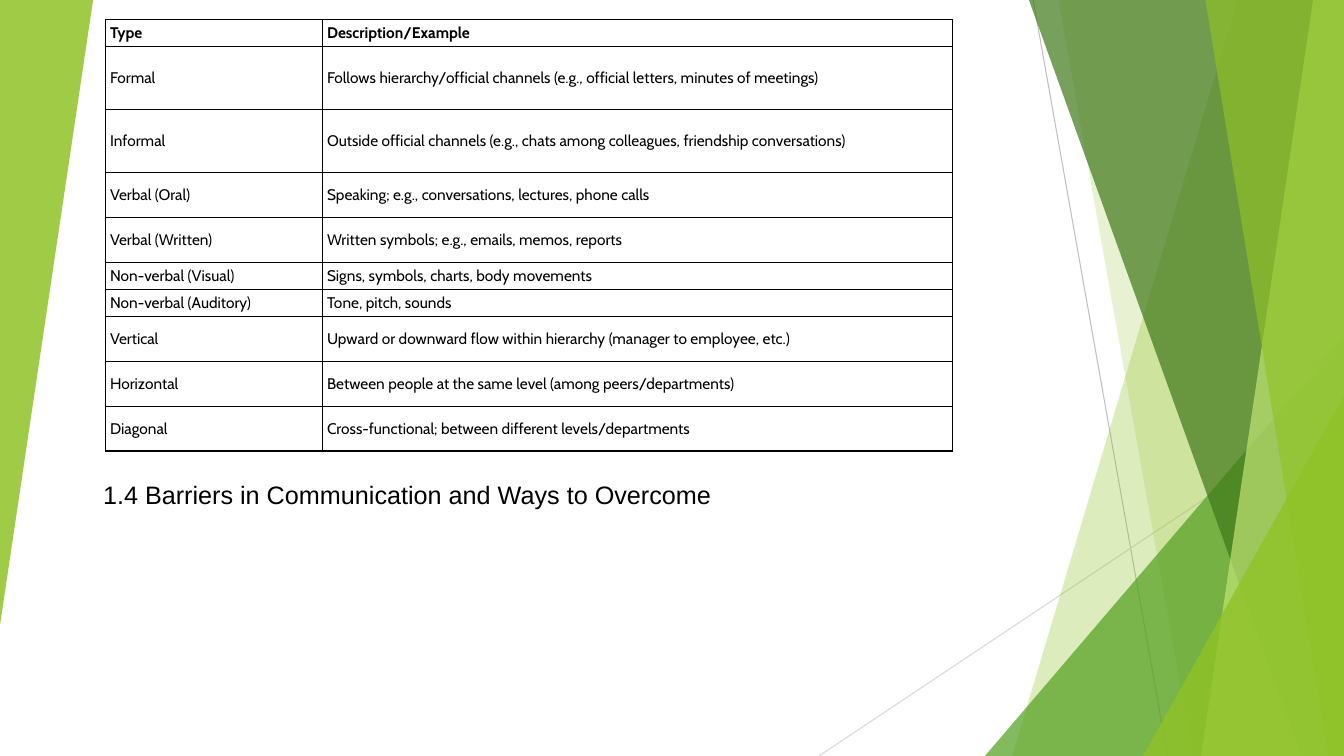
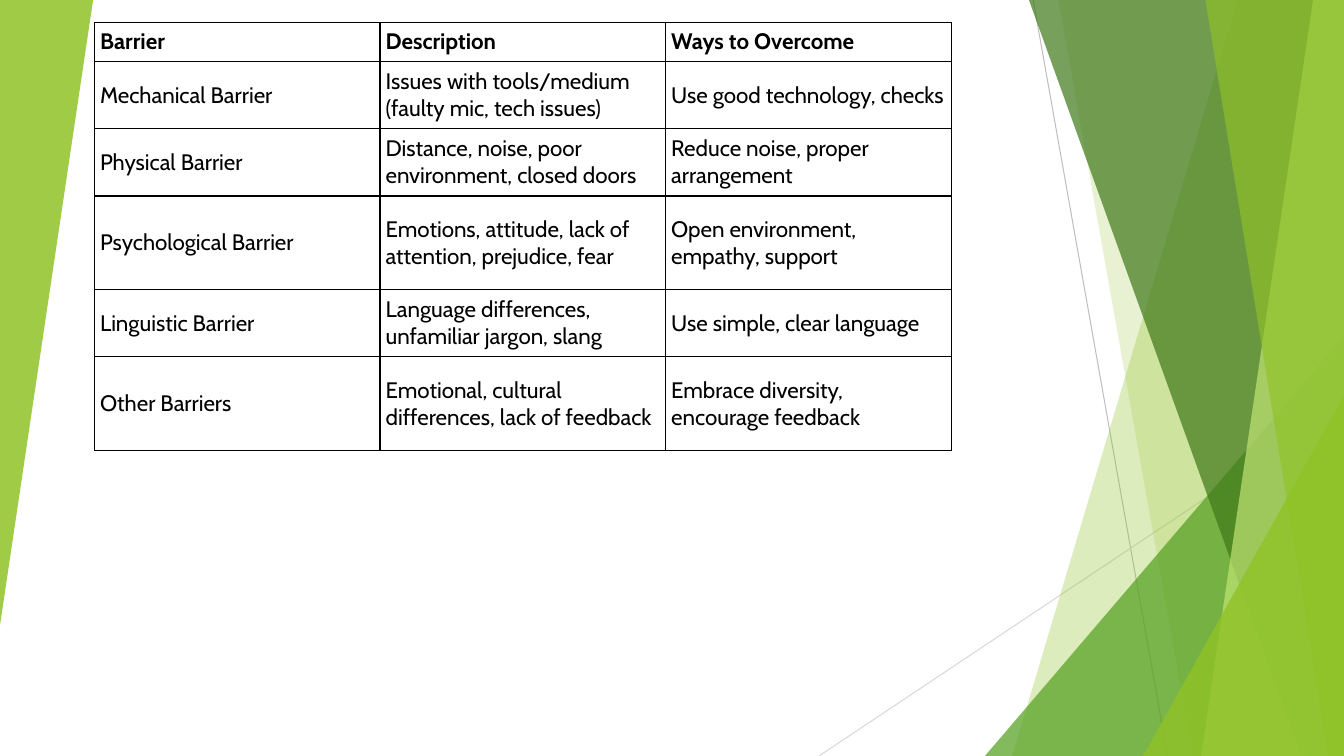
import pptx
import pptx.dml.color
import pptx.enum.shapes
import pptx.enum.text
import pptx.oxml
import pptx.oxml.ns
import pptx.util
from lxml import etree

Pt = pptx.util.Pt
qn = pptx.oxml.ns.qn

SLIDE_W, SLIDE_H = 960, 540
TABLE_FONT, HEADING_FONT = "Cabin", "Arial"
BLACK = "000000"
LIME, GREEN, FOREST, PALE = "90C226", "54A021", "3F7819", "C0E474"

COMMUNICATION_TYPES = [
    ("Type", "Description/Example"),
    ("Formal", "Follows hierarchy/official channels (e.g., official letters, minutes of meetings)"),
    ("Informal", "Outside official channels (e.g., chats among colleagues, friendship conversations)"),
    ("Verbal (Oral)", "Speaking; e.g., conversations, lectures, phone calls"),
    ("Verbal (Written)", "Written symbols; e.g., emails, memos, reports"),
    ("Non-verbal (Visual)", "Signs, symbols, charts, body movements"),
    ("Non-verbal (Auditory)", "Tone, pitch, sounds"),
    ("Vertical", "Upward or downward flow within hierarchy (manager to employee, etc.)"),
    ("Horizontal", "Between people at the same level (among peers/departments)"),
    ("Diagonal", "Cross-functional; between different levels/departments"),
]
BARRIERS = [
    ("Barrier", "Description", "Ways to Overcome"),
    ("Mechanical Barrier", "Issues with tools/medium (faulty mic, tech issues)",
     "Use good technology, checks"),
    ("Physical Barrier", "Distance, noise, poor environment, closed doors",
     "Reduce noise, proper arrangement"),
    ("Psychological Barrier", "Emotions, attitude, lack of attention, prejudice, fear",
     "Open environment, empathy, support"),
    ("Linguistic Barrier", "Language differences, unfamiliar jargon, slang",
     "Use simple, clear language"),
    ("Other Barriers", "Emotional, cultural differences, lack of feedback",
     "Embrace diversity, encourage feedback"),
]


def rgb(color):
    return pptx.dml.color.RGBColor.from_string(color)


def paint(sp, color, opacity):
    """Fill a shape with a see-through colour, without line or shadow."""
    sp.shadow.inherit = False
    sp.line.fill.background()
    sp.fill.solid()
    sp.fill.fore_color.rgb = rgb(color)
    clr = sp.element.spPr.find(qn("a:solidFill"))[0]
    etree.SubElement(clr, qn("a:alpha"), val=str(opacity * 1000))


def add_line(slide, x1, y1, x2, y2, color):
    line = slide.shapes.add_connector(
        pptx.enum.shapes.MSO_CONNECTOR.STRAIGHT, Pt(x1), Pt(y1), Pt(x2), Pt(y2))
    line.line.color.rgb = rgb(color)
    line.line.width = Pt(0.75)
    etree.SubElement(line.element.spPr, qn("a:effectLst"))


def add_facet(slide, top_x, bottom_x, w, h, color, opacity):
    """Full-height pane from a slanted left edge to the right edge."""
    builder = slide.shapes.build_freeform(Pt(top_x), Pt(0))
    builder.add_line_segments(
        [(Pt(w), Pt(0)), (Pt(w), Pt(h)), (Pt(bottom_x), Pt(h))], close=True)
    paint(builder.convert_to_shape(), color, opacity)


def add_wedge(slide, x, y, w, h, color, opacity, rotation=0):
    """Triangle whose tip stands above its right corner."""
    sp = slide.shapes.add_shape(
        pptx.enum.shapes.MSO_SHAPE.ISOSCELES_TRIANGLE, Pt(x), Pt(y), Pt(w), Pt(h))
    sp.adjustments[0] = 1
    sp.rotation = rotation
    paint(sp, color, opacity)


def add_backdrop(slide, w, h):
    add_line(slide, 738, 0, 834, h, "BFBFBF")
    add_line(slide, w, 290, 585, h, "D9D9D9")
    add_facet(slide, 884, 723, w, h, LIME, 30)
    add_facet(slide, 756, 852, w, h, LIME, 20)
    add_wedge(slide, 703.5, 240, w - 703.5, h - 240, GREEN, 72)
    add_facet(slide, 735, 929.5, w, h, FOREST, 70)
    add_facet(slide, 938, 858, w, h, PALE, 70)
    add_facet(slide, 861, 949, w, h, LIME, 65)
    add_wedge(slide, 816.5, 283, w - 816.5, h - 283, LIME, 80)
    add_wedge(slide, 0, 0, 66.5, 446.5, LIME, 85, rotation=180)


def move_to_layout(slide):
    """Hand the slide's shapes to its layout, so that all slides share them."""
    for sp in list(slide.shapes):
        slide.slide_layout.shapes.element.append(sp.element)


def add_text(tf, text, font, size, bold=False):
    r = tf.paragraphs[0].add_run()
    r.text = text
    r.font.name = font
    r.font.size = Pt(size)
    r.font.bold = bold
    r.font.color.rgb = rgb(BLACK)


def add_borders(cell):
    tc_pr = cell._tc.get_or_add_tcPr()
    for side in ("lnL", "lnR", "lnT", "lnB"):
        ln = etree.SubElement(tc_pr, qn(f"a:{side}"), w=str(Pt(1)))
        fill = etree.SubElement(ln, qn("a:solidFill"))
        etree.SubElement(fill, qn("a:srgbClr"), val=BLACK)


def add_grid(slide, x, y, col_widths, row_heights, rows, size, inset):
    """Ruled table with a bold first row."""
    table = slide.shapes.add_table(
        len(rows), len(col_widths), Pt(x), Pt(y),
        Pt(sum(col_widths)), Pt(sum(row_heights))).table
    table.horz_banding = False
    for col, width in zip(table.columns, col_widths):
        col.width = Pt(width)
    for i, (row, height) in enumerate(zip(table.rows, row_heights)):
        row.height = Pt(height)
        for cell, text in zip(row.cells, rows[i]):
            add_borders(cell)
            cell.fill.background()
            cell.vertical_anchor = pptx.enum.text.MSO_ANCHOR.MIDDLE
            cell.margin_left = cell.margin_right = Pt(inset)
            cell.margin_top = cell.margin_bottom = Pt(inset)
            add_text(cell.text_frame, text, TABLE_FONT, size, bold=i == 0)


def add_heading(slide, x, y, w, h, text):
    tf = slide.shapes.add_textbox(Pt(x), Pt(y), Pt(w), Pt(h)).text_frame
    tf.word_wrap = True
    add_text(tf, text, HEADING_FONT, 18)


def main():
    prs = pptx.Presentation()
    prs.slide_width, prs.slide_height = Pt(SLIDE_W), Pt(SLIDE_H)
    blank = prs.slide_layouts[6]

    slide = prs.slides.add_slide(blank)
    add_backdrop(slide, SLIDE_W, SLIDE_H)
    move_to_layout(slide)
    add_grid(slide, 75.6, 14, [155, 450],
             [19, 45, 45, 32, 32, 19, 19, 32, 32, 32],
             COMMUNICATION_TYPES, size=11, inset=3)
    add_heading(slide, 66.5, 338.5, 708, 29,
                "1.4 Barriers in Communication and Ways to Overcome")

    slide = prs.slides.add_slide(blank)
    add_grid(slide, 67.5, 16, [204] * 3, [28, 48, 48, 67, 48, 67],
             BARRIERS, size=16, inset=4)

    prs.save("out.pptx")


if __name__ == "__main__":
    main()
